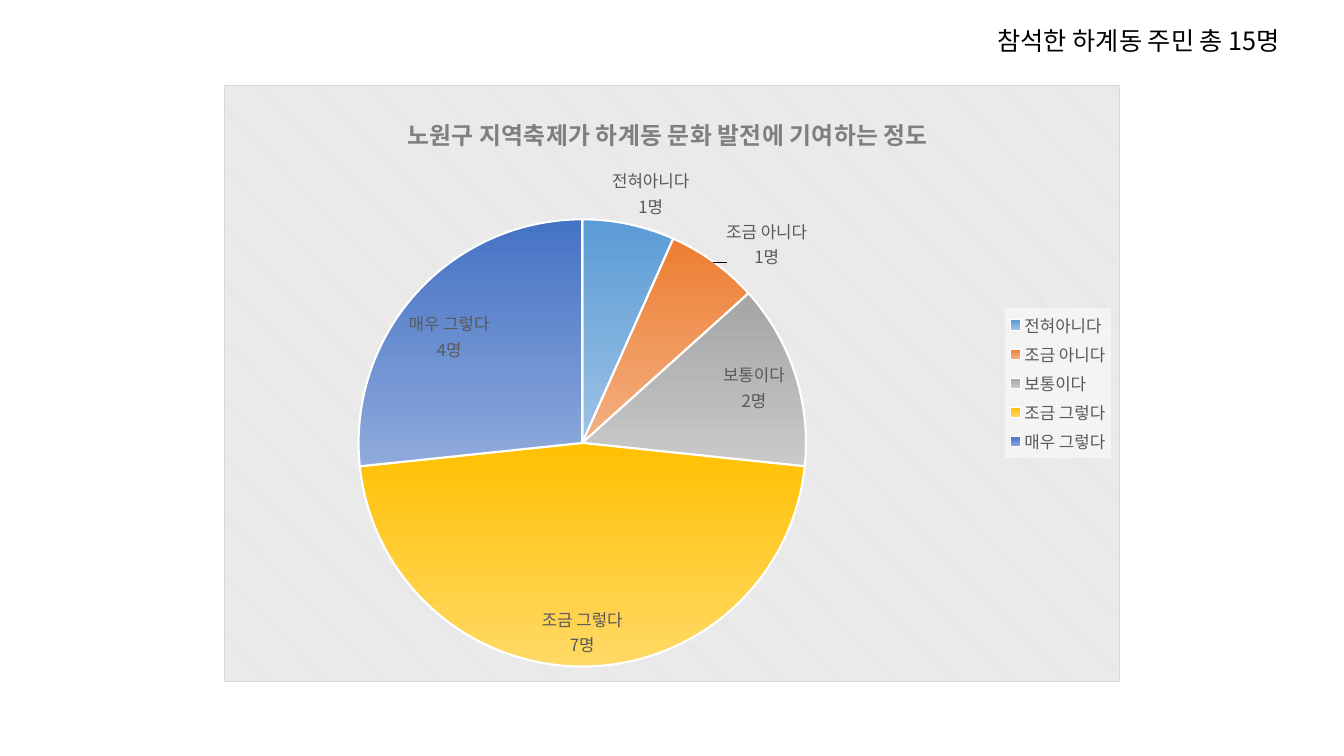
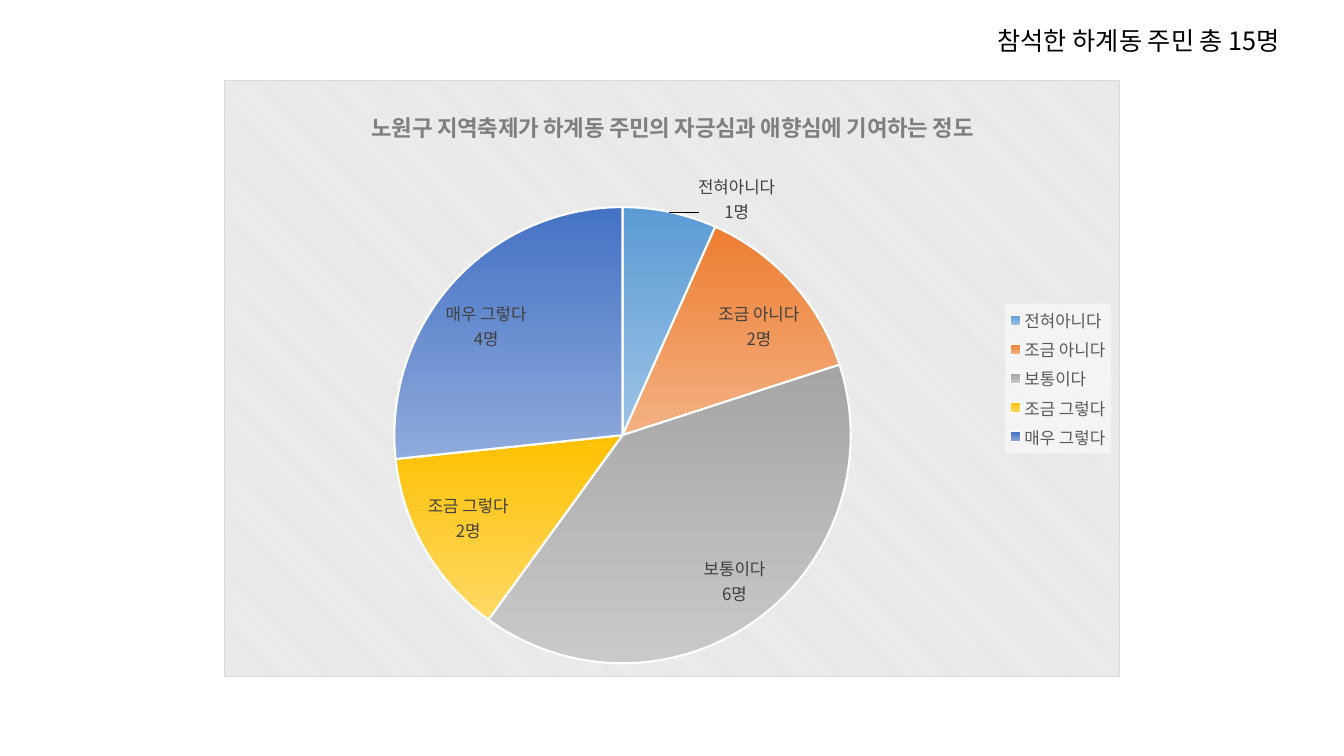
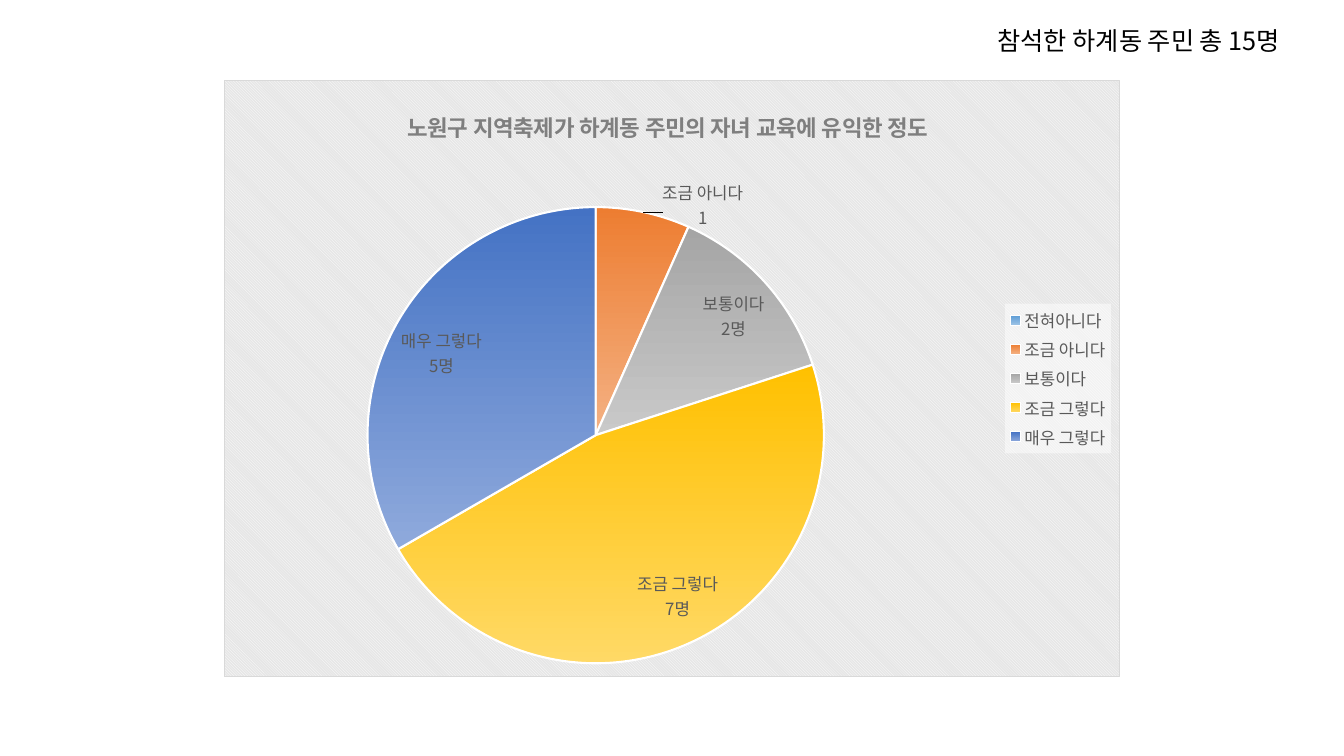
"""Build three pie-chart slides on how residents rate the local festival."""
from dataclasses import dataclass
from typing import Optional

from lxml import etree
from pptx import Presentation
from pptx.chart.data import CategoryChartData
from pptx.dml.color import RGBColor
from pptx.enum.chart import XL_CHART_TYPE, XL_LABEL_POSITION, XL_LEGEND_POSITION
from pptx.enum.text import MSO_AUTO_SIZE
from pptx.oxml import parse_xml
from pptx.oxml.ns import nsdecls, qn
from pptx.util import Cm, Pt

PIE = XL_CHART_TYPE.PIE
BEST_FIT = XL_LABEL_POSITION.BEST_FIT
OUTSIDE_END = XL_LABEL_POSITION.OUTSIDE_END
LEGEND_RIGHT = XL_LEGEND_POSITION.RIGHT
GROW = MSO_AUTO_SIZE.SHAPE_TO_FIT_TEXT

CATEGORIES = ("전혀아니다", "조금 아니다", "보통이다", "조금 그렇다", "매우 그렇다")
HEADCOUNT = "참석한 하계동 주민 총 15명"


@dataclass(frozen=True)
class Theme:
    font: str = "Noto Sans CJK KR"
    black: str = "000000"
    white: str = "FFFFFF"
    title: str = "7F7F7F"
    muted: str = "595959"
    dark: str = "404040"
    hatch: str = "E6E6E6"
    border: str = "D9D9D9"
    slices: tuple = (
        ("5B9BD5", "9DC3E6"),
        ("ED7D31", "F4B183"),
        ("A5A5A5", "C9C9C9"),
        ("FFC000", "FFD966"),
        ("4472C4", "8FAADC"),
    )
    headcount_size: int = 18
    label_size: int = 12
    chart_size: int = 10
    slice_line: float = 1.5


@dataclass(frozen=True)
class Survey:
    title: str
    title_size: int
    title_at: tuple
    top: float
    pie_at: tuple
    counts: tuple
    label_color: str
    shifts: dict
    bare_label: Optional[int] = None


THEME = Theme()
SURVEYS = (
    Survey("노원구 지역축제가 하계동 문화 발전에 기여하는 정도", 17, (0.2, 0.04), 2.13,
           (0.15, 0.22, 0.5, 0.76), (1, 1, 2, 7, 4), THEME.muted,
           {0: (-0.02, 0), 1: (0.01, 0.02)}),
    Survey("노원구 지역축제가 하계동 주민의 자긍심과 애향심에 기여하는 정도", 16, (0.16, 0.04), 2.01,
           (0.19, 0.21, 0.51, 0.77), (1, 2, 6, 2, 4), THEME.dark,
           {0: (0.03, 0.03)}),
    Survey("노원구 지역축제가 하계동 주민의 자녀 교육에 유익한 정도", 16, (0.2, 0.04), 2.01,
           (0.16, 0.21, 0.51, 0.77), (None, 1, 2, 7, 5), THEME.muted,
           {1: (0.02, 0.04)}, bare_label=1),
)


def style_font(font, size: float, color: str, bold: bool = False) -> None:
    font.size = Pt(size)
    font.bold = bold
    font.color.rgb = RGBColor.from_string(color)
    font.name = THEME.font
    east_asian = etree.SubElement(font._rPr, qn("a:ea"))
    east_asian.set("typeface", THEME.font)


def set_layout(parent, index: int, at: tuple, edge: bool = True) -> None:
    for old in parent.findall(qn("c:layout")):
        parent.remove(old)
    fields = [("layoutTarget", "inner")] if len(at) == 4 else []
    if edge:
        fields += [("xMode", "edge"), ("yMode", "edge")]
    fields += zip("xywh", at)
    body = "".join(f'<c:{name} val="{value}"/>' for name, value in fields)
    parent.insert(index, parse_xml(
        f'<c:layout {nsdecls("c")}><c:manualLayout>{body}</c:manualLayout></c:layout>'))


def shape_properties(body: str):
    return parse_xml(f'<c:spPr {nsdecls("c", "a")}>{body}</c:spPr>')


def show_category_and_value(labels) -> None:
    labels.find(qn("c:showCatName")).set("val", "1")
    separator = parse_xml(f'<c:separator {nsdecls("c")}>\n</c:separator>')
    labels.find(qn("c:showBubbleSize")).addnext(separator)


def paint_background(chart) -> None:
    space = chart._chartSpace
    space.find(qn("c:chart")).addnext(shape_properties(
        f'<a:pattFill prst="dkDnDiag"><a:fgClr><a:srgbClr val="{THEME.white}"/></a:fgClr>'
        f'<a:bgClr><a:srgbClr val="{THEME.hatch}"/></a:bgClr></a:pattFill>'
        f'<a:ln w="{Pt(0.75)}"><a:solidFill><a:srgbClr val="{THEME.border}"/></a:solidFill></a:ln>'))


def add_legend(chart) -> None:
    chart.has_legend = True
    legend = chart.legend
    legend.position = LEGEND_RIGHT
    legend.include_in_layout = False
    legend._element.find(qn("c:overlay")).addnext(shape_properties(
        f'<a:solidFill><a:srgbClr val="{THEME.white}"><a:alpha val="50000"/>'
        '</a:srgbClr></a:solidFill>'))
    style_font(legend.font, THEME.label_size, THEME.muted)


def add_title(chart, survey: Survey) -> None:
    chart.has_title = True
    title = chart.chart_title
    span = title.text_frame.paragraphs[0].add_run()
    span.text = survey.title
    style_font(span.font, survey.title_size, THEME.title, bold=True)
    title.include_in_layout = False
    set_layout(title._element, 1, survey.title_at)


def paint_slices(series) -> None:
    for index, colors in enumerate(THEME.slices):
        look = series.points[index].format
        look.fill.gradient()
        look.fill.gradient_angle = 270
        for stop, color in zip(look.fill.gradient_stops, colors):
            stop.color.rgb = RGBColor.from_string(color)
        look.line.color.rgb = RGBColor.from_string(THEME.white)
        look.line.width = Pt(THEME.slice_line)


def add_label(series, index: int, survey: Survey) -> None:
    label = series.points[index].data_label
    if index == survey.bare_label:
        style_font(label.font, THEME.label_size, survey.label_color)
    else:
        frame = label.text_frame
        para = frame.paragraphs[0]
        for line in (CATEGORIES[index], f"{survey.counts[index]}명"):
            span = para.add_run()
            span.text = line
            style_font(span.font, THEME.label_size, survey.label_color)
            if line == CATEGORIES[index]:
                para = frame.add_paragraph()
    shift = survey.shifts.get(index)
    label.position = OUTSIDE_END if shift else BEST_FIT
    element = next(item for item in series.data_labels._element.findall(qn("c:dLbl"))
                   if item.find(qn("c:idx")).get("val") == str(index))
    show_category_and_value(element)
    if shift:
        set_layout(element, 1, shift, edge=False)


def add_labels(series, survey: Survey) -> None:
    labels = series.data_labels
    labels.show_value = True
    labels.position = BEST_FIT
    style_font(labels.font, THEME.label_size, survey.label_color)
    show_category_and_value(labels._element)
    for index, count in enumerate(survey.counts):
        if count is not None:
            add_label(series, index, survey)


def add_pie(page, survey: Survey) -> None:
    data = CategoryChartData()
    data.categories = CATEGORIES
    data.add_series("Series 1", survey.counts)
    chart = page.shapes.add_chart(
        PIE, Cm(5.64), Cm(survey.top), Cm(22.58), Cm(15.06), data).chart
    style_font(chart.font, THEME.chart_size, THEME.black)
    paint_background(chart)
    add_title(chart, survey)
    add_legend(chart)
    plot = chart.plots[0]
    plot.vary_by_categories = True
    set_layout(chart._chartSpace.find(f'{qn("c:chart")}/{qn("c:plotArea")}'), 0, survey.pie_at)
    paint_slices(plot.series[0])
    add_labels(plot.series[0], survey)


def add_headcount(page) -> None:
    box = page.shapes.add_textbox(Cm(24.89), Cm(0.51), Cm(8.53), Cm(1.02))
    frame = box.text_frame
    frame.word_wrap = False
    frame.auto_size = GROW
    span = frame.paragraphs[0].add_run()
    span.text = HEADCOUNT
    style_font(span.font, THEME.headcount_size, THEME.black)


def main() -> None:
    deck = Presentation()
    deck.slide_width, deck.slide_height = Cm(33.87), Cm(19.05)
    for survey in SURVEYS:
        page = deck.slides.add_slide(deck.slide_layouts[6])
        add_pie(page, survey)
        add_headcount(page)
    deck.save("out.pptx")


if __name__ == "__main__":
    main()
